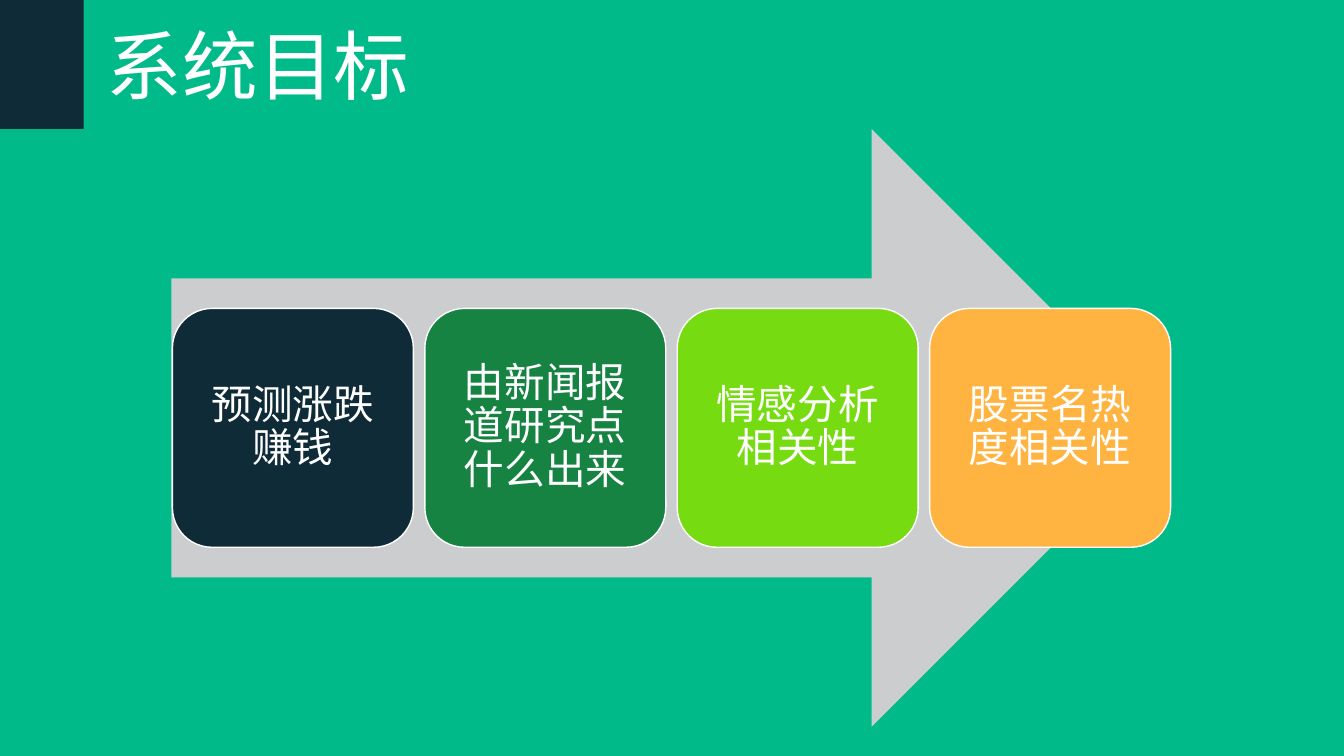
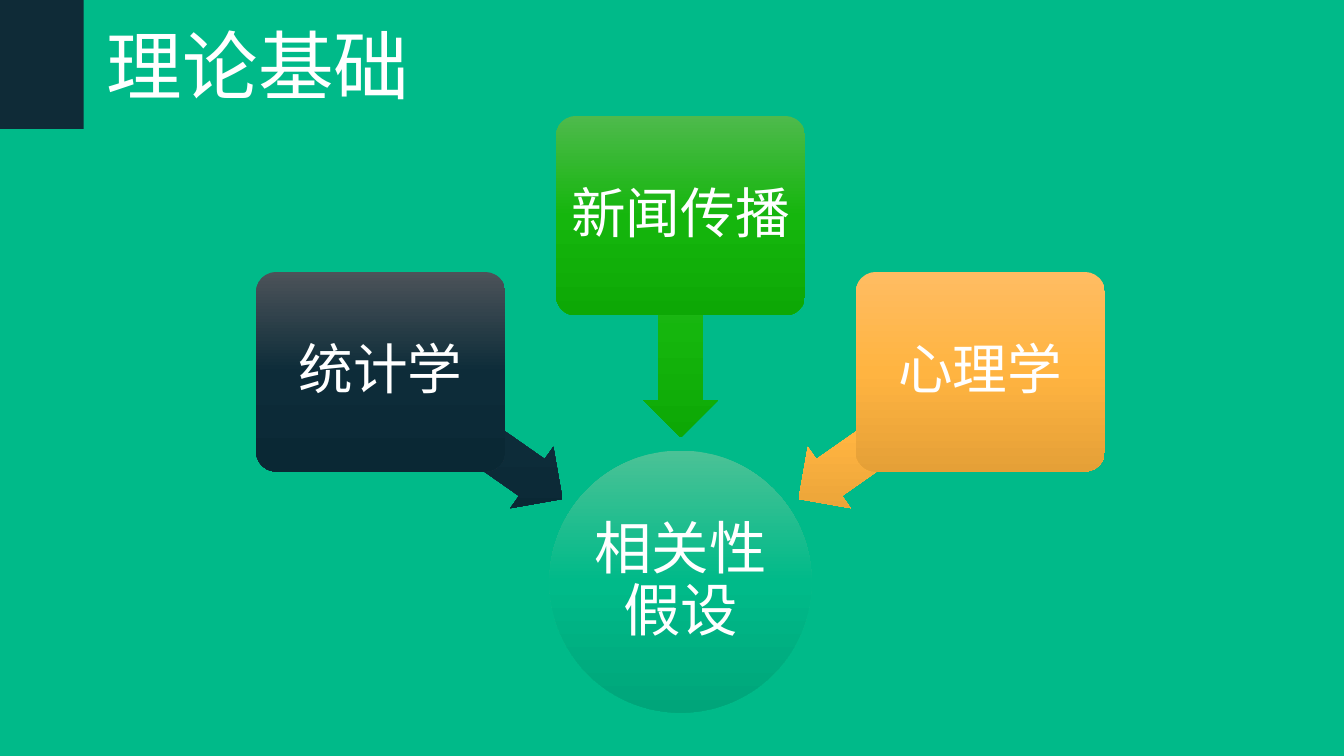
from copy import deepcopy
from math import cos, radians, sin

from pptx import Presentation
from pptx.dml.color import RGBColor
from pptx.enum.shapes import MSO_SHAPE
from pptx.enum.text import MSO_ANCHOR, PP_ALIGN
from pptx.oxml.ns import qn
from pptx.util import Inches, Pt

FONT = "Arial"
WHITE = "FFFFFF"
GREEN = "00BA89"
NAVY = "0F2B37"


def colour(hex_value):
    return RGBColor.from_string(hex_value)


def add_block(slide, kind, box, fills, text="", size=18, inset=0.1):
    block = slide.shapes.add_shape(kind, *[Inches(length) for length in box])
    block.shadow.inherit = False
    block.line.fill.background()
    if len(fills) == 1:
        block.fill.solid()
        block.fill.fore_color.rgb = colour(fills[0])
    else:
        block.fill.gradient()
        block.fill.gradient_angle = 270
        gradient = block.element.spPr.find(qn("a:gradFill"))
        gradient.set("rotWithShape", "0")
        stop_list = gradient.find(qn("a:gsLst"))
        stop_list.append(deepcopy(stop_list[0]))
        for index, stop in enumerate(block.fill.gradient_stops):
            stop.position = index / 2
            stop.color.rgb = colour(fills[index])
    if text:
        frame = block.text_frame
        frame.word_wrap = True
        frame.vertical_anchor = MSO_ANCHOR.MIDDLE
        frame.margin_left = frame.margin_right = Inches(inset)
        frame.margin_top = frame.margin_bottom = Inches(inset)
        frame.text = text
        paragraph = frame.paragraphs[0]
        paragraph.alignment = PP_ALIGN.CENTER
        paragraph.line_spacing = 0.9
        paragraph.font.name = FONT
        paragraph.font.size = Pt(size)
        paragraph.font.color.rgb = colour(WHITE)
    return block


deck = Presentation()
deck.slide_width = Inches(13.33)
deck.slide_height = Inches(7.5)
deck.slide_master.background.fill.solid()
deck.slide_master.background.fill.fore_color.rgb = colour(GREEN)

slides = []
for heading in ["系统目标", "理论基础"]:
    slide = deck.slides.add_slide(deck.slide_layouts[5])
    title = slide.shapes.title
    title.left, title.top = Inches(0.96), Inches(0.14)
    title.width, title.height = Inches(3.57), Inches(1.01)
    title.text_frame.text = heading
    title.text_frame.word_wrap = False
    title.text_frame.vertical_anchor = MSO_ANCHOR.TOP
    paragraph = title.text_frame.paragraphs[0]
    paragraph.alignment = PP_ALIGN.LEFT
    paragraph.font.name = FONT
    paragraph.font.size = Pt(54)
    paragraph.font.color.rgb = colour(WHITE)
    add_block(slide, MSO_SHAPE.RECTANGLE, (0, 0, 0.83, 1.28), [NAVY])
    slides.append(slide)

goals_slide, theory_slide = slides

add_block(goals_slide, MSO_SHAPE.RIGHT_ARROW, (1.7, 1.28, 9.91, 5.93), ["CCCDCE"])
goals = [
    ("预测涨跌赚钱", NAVY),
    ("由新闻报道研究点什么出来", "168342"),
    ("情感分析相关性", "76DC11"),
    ("股票名热度相关性", "FFB441"),
]
goals_left, goals_right, goal_width = 1.71, 11.61, 2.39
goal_step = (goals_right - goals_left - goal_width) / (len(goals) - 1)
for index, (goal, fill) in enumerate(goals):
    box = (goals_left + index * goal_step, 3.06, goal_width, 2.37)
    tile = add_block(goals_slide, MSO_SHAPE.ROUNDED_RECTANGLE, box, [fill], goal, 29, 0.12)
    tile.line.color.rgb = colour(WHITE)
    tile.line.width = Pt(1)

hub_x, hub_y, hub_size = 6.75, 5.77, 2.6
arrow_distance, arrow_width, arrow_height = 2.53, 2.2, 0.74
field_distance, field_width, field_height = 3.63, 2.47, 1.98
hub_box = (hub_x - hub_size / 2, hub_y - hub_size / 2, hub_size, hub_size)
add_block(theory_slide, MSO_SHAPE.OVAL, hub_box, ["4BC296", GREEN, "00A57A"],
          "相关性假设", 41, 0.03)

fields = [
    ("统计学", 215, ["4C5359", "0D2C39", "0A2834"]),
    ("新闻传播", 270, ["4EBA4C", "15B60D", "0DA805"]),
    ("心理学", 325, ["FFBC62", "FFB441", "E5A037"]),
]
for field, angle, fills in fields:
    across, down = cos(radians(angle)), sin(radians(angle))
    arrow_box = (hub_x + arrow_distance * across - arrow_width / 2,
                 hub_y + arrow_distance * down - arrow_height / 2,
                 arrow_width, arrow_height)
    arrow = add_block(theory_slide, MSO_SHAPE.LEFT_ARROW, arrow_box, fills)
    arrow.adjustments[0] = 0.6
    arrow.rotation = angle
    field_box = (hub_x + field_distance * across - field_width / 2,
                 hub_y + field_distance * down - field_height / 2,
                 field_width, field_height)
    card = add_block(theory_slide, MSO_SHAPE.ROUNDED_RECTANGLE, field_box, fills,
                     field, 39, 0.07)
    card.adjustments[0] = 0.1

deck.save("out.pptx")
